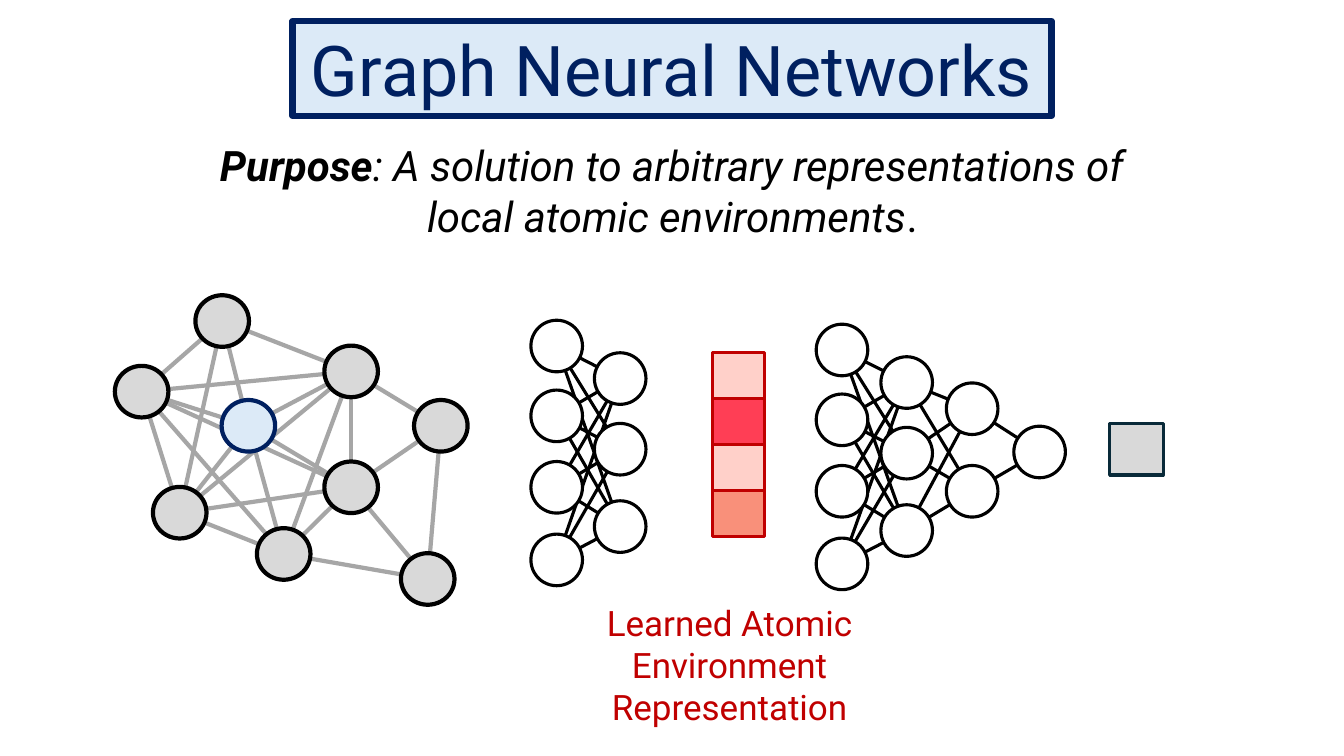
from dataclasses import dataclass
from itertools import product

from lxml.etree import SubElement
from pptx import Presentation
from pptx.dml.color import RGBColor as Rgb
from pptx.enum.shapes import MSO_CONNECTOR as Link, MSO_SHAPE as Kind
from pptx.enum.text import MSO_ANCHOR as Anchor, MSO_AUTO_SIZE as Fit, PP_ALIGN as Align
from pptx.oxml.ns import qn
from pptx.util import Cm, Pt

INK = {
    "black": "000000", "white": "FFFFFF", "navy": "002060", "sky": "DCEAF7",
    "silver": "D9D9D9", "gray": "A6A6A6", "teal": "092A39", "red": "C00000",
    "pink": "FFD0C9", "rose": "FF3E55", "coral": "F9907A",
}
FONT = "Roboto"


@dataclass(frozen=True)
class Node:
    x: float  # centre, in cm
    y: float
    wide: float = 1.3
    high: float = 1.3
    fill: str = "white"
    line: str = "black"
    thick: float = 2.25
    kind: Kind = Kind.OVAL


@dataclass(frozen=True)
class Layer:
    x: float
    rows: tuple[float, ...]


def atom(x: float, y: float, fill: str = "silver", line: str = "black") -> Node:
    return Node(x, y, wide=1.35, fill=fill, line=line, thick=3)


ATOMS = {
    "top": atom(5.6, 8.09),
    "upper": atom(8.85, 9.36),
    "core": atom(6.26, 10.73, "sky", "navy"),
    "mid": atom(8.85, 12.28),
    "low": atom(4.53, 12.92),
    "base": atom(7.15, 13.96),
    "right": atom(11.11, 10.73),
    "corner": atom(10.78, 14.59),
    "left": atom(3.57, 9.87),
}
BONDS = {
    "core": "low base mid upper top left",
    "left": "low top upper mid base",
    "low": "base mid upper top",
    "base": "mid upper corner",
    "mid": "upper right corner",
    "upper": "top right",
    "right": "corner",
}
FOUR = (8.72, 10.48, 12.28, 14.11)
THREE = (9.54, 11.32, 13.27)
DROP = 0.1  # the second network sits slightly lower
ENCODER = [Layer(14.03, FOUR), Layer(15.63, THREE)]
READOUT = [
    Layer(21.22, tuple(y + DROP for y in FOUR)),
    Layer(22.85, tuple(y + DROP for y in THREE)),
    Layer(24.5, (10.3, 12.38)),
    Layer(26.2, (11.39,)),
]
CELLS = ("pink", "rose", "pink", "coral")
CELL_H = 1.16


def color(name: str) -> Rgb:
    return Rgb.from_string(INK[name])


def paint(shape, fill: str, line: str, thick: float) -> None:
    shape.shadow.inherit = False
    shape.fill.solid()
    shape.fill.fore_color.rgb = color(fill)
    shape.line.color.rgb = color(line)
    shape.line.width = Pt(thick)


def draw(shapes, node: Node) -> None:
    left, top = node.x - node.wide / 2, node.y - node.high / 2
    shape = shapes.add_shape(node.kind, Cm(left), Cm(top), Cm(node.wide), Cm(node.high))
    paint(shape, node.fill, node.line, node.thick)


def join(shapes, a: Node, b: Node, ink: str, thick: float) -> None:
    edge = shapes.add_connector(Link.STRAIGHT, Cm(a.x), Cm(a.y), Cm(b.x), Cm(b.y))
    edge.line.color.rgb = color(ink)
    edge.line.width = Pt(thick)
    SubElement(edge._element.spPr, qn("a:effectLst"))


def net(shapes, layers: list[Layer]) -> None:
    """Draw layers of nodes, each fully linked to the next."""
    ranks = [[Node(layer.x, y) for y in layer.rows] for layer in layers]
    for near, far in zip(ranks, ranks[1:]):
        for a, b in product(near, far):
            join(shapes, a, b, "black", 2.25)
    for rank in ranks:
        for node in rank:
            draw(shapes, node)


def place(shape, left: float, top: float, wide: float, high: float) -> None:
    shape.left, shape.top, shape.width, shape.height = map(Cm, (left, top, wide, high))


def write(shape, text: str, *, size: float, ink: str, bold: bool = False,
          slant: bool = False, anchor: Anchor = Anchor.TOP) -> None:
    """Append a formatted run to the shape's centred paragraph."""
    frame = shape.text_frame
    frame.word_wrap = True
    frame.auto_size = Fit.NONE
    frame.vertical_anchor = anchor
    para = frame.paragraphs[0]
    para.alignment = Align.CENTER
    run = para.add_run()
    run.text = text
    font = run.font
    font.name, font.size, font.bold, font.italic = FONT, Pt(size), bold, slant
    font.color.rgb = color(ink)


def main() -> None:
    deck = Presentation()
    deck.slide_width, deck.slide_height = Cm(33.87), Cm(19.05)
    slide = deck.slides.add_slide(deck.slide_layouts[5])
    shapes = slide.shapes

    title = shapes.title
    place(title, 7.37, 0.53, 19.13, 2.39)
    paint(title, "sky", "navy", 4.5)
    write(title, "Graph Neural Networks", size=50, ink="navy", anchor=Anchor.MIDDLE)

    aim = shapes.add_textbox(Cm(5.03), Cm(3.4), Cm(23.83), Cm(2.82))
    write(aim, "Purpose", size=30, ink="black", bold=True, slant=True)
    write(aim, ": A solution to arbitrary representations of local atomic environments",
          size=30, ink="black", slant=True)
    write(aim, ".", size=30, ink="black")

    for start, ends in BONDS.items():
        for end in ends.split():
            join(shapes, ATOMS[start], ATOMS[end], "gray", 3)
    for node in ATOMS.values():
        draw(shapes, node)

    net(shapes, ENCODER)
    net(shapes, READOUT)
    draw(shapes, Node(28.64, 11.32, wide=1.35, fill="silver", line="teal",
                      kind=Kind.RECTANGLE))

    label = shapes.add_textbox(Cm(14.45), Cm(15.04), Cm(7.87), Cm(3.45))
    write(label, "Learned Atomic Environment Representation", size=25, ink="red")

    vector = shapes.add_group_shape()
    for row, fill in enumerate(CELLS):
        draw(vector.shapes, Node(18.61, 9.47 + row * CELL_H, high=CELL_H, fill=fill,
                                 line="red", kind=Kind.RECTANGLE))

    deck.save("out.pptx")


if __name__ == "__main__":
    main()
